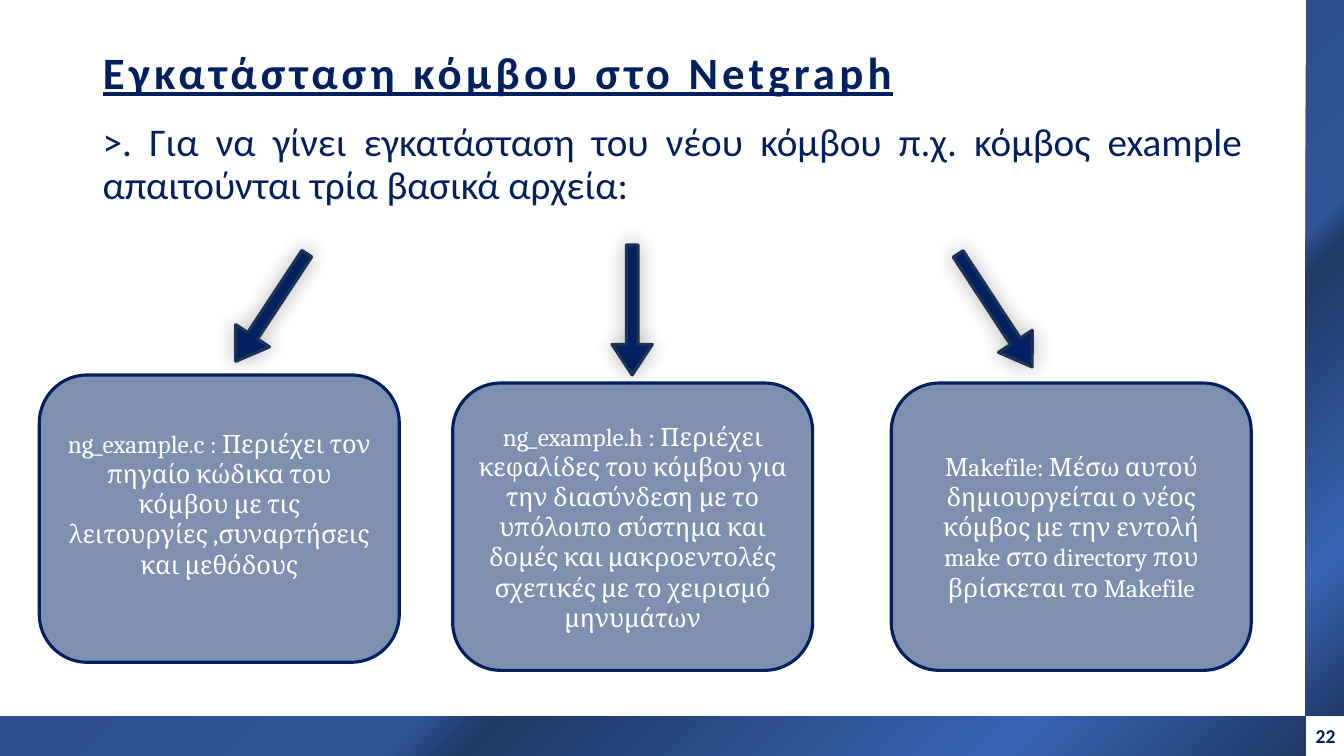
from lxml import etree
from pptx import Presentation
from pptx.dml.color import RGBColor
from pptx.enum.shapes import MSO_SHAPE as Preset
from pptx.enum.text import MSO_ANCHOR as Anchor, MSO_AUTO_SIZE as AutoSize, PP_ALIGN as Align
from pptx.oxml import parse_xml
from pptx.oxml.ns import nsdecls, qn
from pptx.util import Inches, Pt

COLORS = {"navy": "002060", "edge": "1E3256", "white": "FFFFFF", "shade": "000000"}
BAR_STOPS = [(0, "203864"), (23, "3864B3"), (63, "203864"), (69, "2F5597"), (97, "2C4F8C")]
FILES = [
    (0.39, 3.72, 0.35, "ng_example.c : Περιέχει τον πηγαίο κώδικα του κόμβου με τις "
                       "λειτουργίες ,συναρτήσεις και μεθόδους"),
    (4.49, 3.8, 0.05, "ng_example.h : Περιέχει κεφαλίδες του κόμβου για την διασύνδεση με το "
                      "υπόλοιπο σύστημα και δομές και μακροεντολές σχετικές με το χειρισμό μηνυμάτων"),
    (8.84, 3.8, 0.05, "Μakefile: Μέσω αυτού δημιουργείται ο νέος κόμβος με την εντολή make "
                      "στο directory που βρίσκεται το Makefile"),
]
ARROWS = [(2.49, 2.41, 1.28, 213.4), (9.67, 2.41, 1.34, 146.8), (6.07, 2.43, 1.29, 180)]


class SlideBuilder:
    """Holds the slide and draws its elements in the shared style."""

    def __init__(self, slide):
        self.slide = slide

    def color(self, name):
        return RGBColor.from_string(COLORS[name])

    def place(self, shape, left, top, width, height):
        shape.left, shape.top = Inches(left), Inches(top)
        shape.width, shape.height = Inches(width), Inches(height)

    def add_words(self, frame, text, size, color="navy", font="Calibri", bold=False,
                  align=Align.LEFT):
        frame.word_wrap = True
        paragraph = frame.paragraphs[0]
        paragraph.alignment = align
        run = paragraph.add_run()
        run.text = text
        run.font.name, run.font.size, run.font.bold = font, Pt(size), bold
        run.font.color.rgb = self.color(color)
        return paragraph, run

    def title(self, text, *box):
        heading = self.slide.shapes.title
        self.place(heading, *box)
        frame = heading.text_frame
        frame.auto_size = AutoSize.NONE
        frame.vertical_anchor = Anchor.MIDDLE
        paragraph, run = self.add_words(frame, text, 32, bold=True)
        paragraph.line_spacing = 1.5
        run.font.underline = True
        run.font._element.set("spc", "300")

    def text(self, text, size, *box, **style):
        frame = self.slide.shapes.add_textbox(*map(Inches, box)).text_frame
        return self.add_words(frame, text, size, **style)[0]

    def shape(self, preset, *box):
        shape = self.slide.shapes.add_shape(preset, *map(Inches, box))
        shape.shadow.inherit = False
        return shape

    def solid(self, shape, edge):
        shape.fill.solid()
        shape.fill.fore_color.rgb = self.color("navy")
        shape.line.color.rgb = self.color(edge)
        shape.line.width = Pt(2.25)

    def bar(self, *box, rotation=0):
        bar = self.shape(Preset.RECTANGLE, *box)
        bar.rotation = rotation
        bar.line.fill.background()
        stops = "".join(f'<a:gs pos="{at * 1000}"><a:srgbClr val="{tone}"/></a:gs>'
                        for at, tone in BAR_STOPS)
        gradient = parse_xml(
            f'<a:gradFill {nsdecls("a")} rotWithShape="1"><a:gsLst>{stops}</a:gsLst>'
            '<a:path path="circle"><a:fillToRect l="100000" t="100000"/></a:path>'
            '<a:tileRect r="-100000" b="-100000"/></a:gradFill>')
        bar._element.spPr.find(qn("a:prstGeom")).addnext(gradient)

    def arrow(self, left, top, length, rotation):
        arrow = self.shape(Preset.UP_ARROW, left, top, 0.4, length)
        arrow.rotation = rotation
        arrow.adjustments[0], arrow.adjustments[1] = 0.29, 0.76
        self.solid(arrow, "edge")
        effects = arrow._element.spPr.find(qn("a:effectLst"))
        effects.append(parse_xml(
            f'<a:outerShdw {nsdecls("a")} blurRad="190500" algn="ctr" rotWithShape="0">'
            f'<a:srgbClr val="{COLORS["shade"]}"><a:alpha val="30000"/></a:srgbClr></a:outerShdw>'))

    def card(self, left, top, bottom_inset, text):
        card = self.shape(Preset.FLOWCHART_ALTERNATE_PROCESS, left, top, 3.57, 2.85)
        self.solid(card, "navy")
        tone = card._element.spPr.find(qn("a:solidFill"))[0]
        etree.SubElement(tone, qn("a:alpha")).set("val", "50000")
        frame = card.text_frame
        frame.vertical_anchor = Anchor.MIDDLE
        frame.margin_bottom = Inches(bottom_inset)
        self.add_words(frame, text, 18, "white", "Cambria", align=Align.CENTER)


def main():
    deck = Presentation()
    deck.slide_width, deck.slide_height = Inches(13.33), Inches(7.5)
    builder = SlideBuilder(deck.slides.add_slide(deck.slide_layouts[5]))
    builder.title("Εγκατάσταση κόμβου στο Netgraph", 0.92, 0.46, 11.5, 0.23)
    intro = builder.text(
        ">. Για να γίνει εγκατάσταση του νέου κόμβου π.χ. κόμβος example "
        "απαιτούνται τρία βασικά αρχεία:", 28, 0.92, 1.17, 11.5, 5.45, align=Align.JUSTIFY)
    intro.line_spacing, intro.space_before = 0.9, Pt(10)
    builder.bar(6.27, 0.83, 0.4, 12.95, rotation=90)
    builder.text("22", 14, 12.95, 7.13, 0.53, 0.34, bold=True)
    builder.bar(12.95, 0, 0.4, 7.1)
    for arrow in ARROWS:
        builder.arrow(*arrow)
    for file in FILES:
        builder.card(*file)
    deck.save("out.pptx")


if __name__ == "__main__":
    main()
